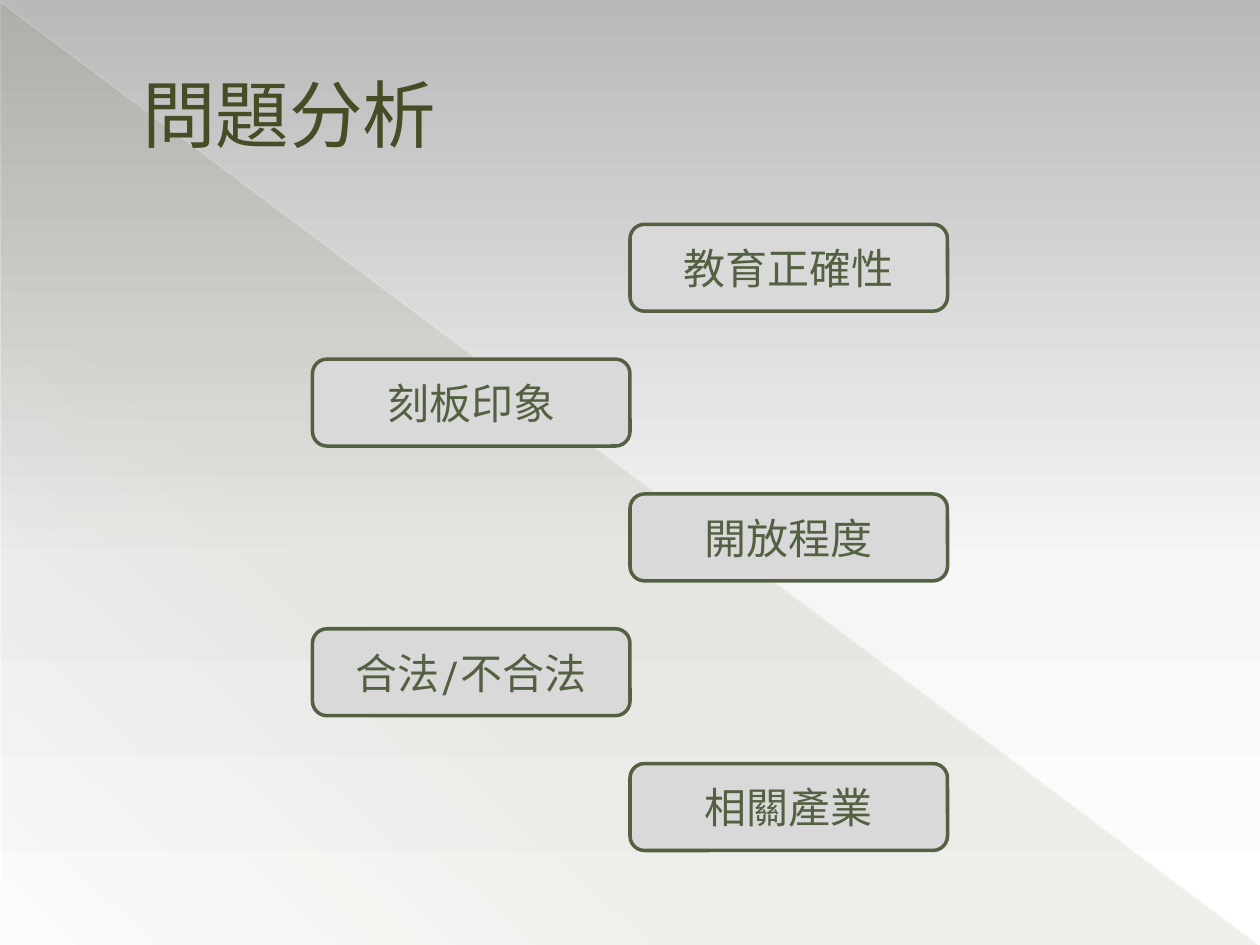
from lxml.etree import SubElement
from pptx import Presentation
from pptx.dml.color import RGBColor
from pptx.enum.shapes import MSO_CONNECTOR as Connector, MSO_SHAPE as Shape
from pptx.enum.text import MSO_ANCHOR as Anchor, PP_ALIGN as Align
from pptx.oxml.ns import qn
from pptx.util import Inches, Pt

FONT = "TeX Gyre Adventor"
OLIVE = RGBColor(0x44, 0x4D, 0x26)
GREEN = RGBColor(0x53, 0x61, 0x42)
GRAY = RGBColor(0xD9, 0xD9, 0xD9)
CREAM = RGBColor(0xFF, 0xFD, 0xE3)
PALE_CREAM = RGBColor(0xFF, 0xFD, 0xE6)
SKY_TOP = RGBColor(0xB9, 0xB9, 0xB9)
SKY_MIDDLE = RGBColor(0xF6, 0xF6, 0xF6)
WHITE = RGBColor(0xFF, 0xFF, 0xFF)

ISSUES = ["教育正確性", "刻板印象", "開放程度", "合法/不合法", "相關產業"]
BOX_WIDTH, BOX_HEIGHT = 2.52, 0.69
RIGHT_COLUMN, LEFT_COLUMN = 5, 2.48
FIRST_TOP, ROW_STEP = 1.78, 1.07


def add_opacity(color_element, percent):
    SubElement(color_element, qn("a:alpha"), val=str(percent * 1000))


def set_gradient(owner, fill, stops, angle):
    """Fill with (position, colour, opacity) stops in percent; angle is clockwise."""
    fill.gradient()
    fill.gradient_angle = 360 - angle
    stop_list = next(owner.element.iter(qn("a:gsLst")))
    for old_stop in list(stop_list):
        stop_list.remove(old_stop)
    for position, color, opacity in stops:
        stop = SubElement(stop_list, qn("a:gs"), pos=str(position * 1000))
        color_element = SubElement(stop, qn("a:srgbClr"), val=str(color))
        if opacity < 100:
            add_opacity(color_element, opacity)


def add_background(slide):
    set_gradient(slide, slide.background.fill,
                 [(0, SKY_TOP, 100), (60, SKY_MIDDLE, 100), (100, WHITE, 100)], 90)
    triangle = slide.shapes.add_shape(
        Shape.RIGHT_TRIANGLE, Inches(0.01), Inches(0.02), Inches(9.98), Inches(7.48))
    triangle.shadow.inherit = False
    triangle.line.fill.background()
    set_gradient(triangle, triangle.fill,
                 [(0, OLIVE, 10), (70, OLIVE, 8), (100, OLIVE, 1)], 133)


def add_line(slide, start, end, color, width, opacity):
    line = slide.shapes.add_connector(
        Connector.STRAIGHT, *(Inches(value) for value in start + end))
    line.line.width = Pt(width)
    line.line.color.rgb = color
    properties = line.element.spPr
    add_opacity(next(properties.iter(qn("a:srgbClr"))), opacity)
    SubElement(properties, qn("a:effectLst"))


def write_text(frame, text, size, color, align):
    frame.word_wrap = True
    frame.vertical_anchor = Anchor.MIDDLE
    paragraph = frame.paragraphs[0]
    paragraph.alignment = align
    run = paragraph.add_run()
    run.text = text
    for attribute, value in {"name": FONT, "size": Pt(size)}.items():
        setattr(run.font, attribute, value)
    run.font.color.rgb = color


def add_title(slide, text):
    title = slide.shapes.add_textbox(Inches(0.5), Inches(0.29), Inches(9), Inches(1.21))
    title.text_frame.margin_left = Inches(0.63)
    write_text(title.text_frame, text, 42, OLIVE, Align.LEFT)


def add_issue(slide, text, left, top):
    box = slide.shapes.add_shape(
        Shape.ROUNDED_RECTANGLE, Inches(left), Inches(top),
        Inches(BOX_WIDTH), Inches(BOX_HEIGHT))
    box.shadow.inherit = False
    box.fill.solid()
    box.fill.fore_color.rgb = GRAY
    box.line.color.rgb = GREEN
    box.line.width = Pt(2)
    write_text(box.text_frame, text, 24, GREEN, Align.CENTER)


def main():
    presentation = Presentation()
    presentation.slide_width, presentation.slide_height = Inches(10), Inches(7.5)
    slide = presentation.slides.add_slide(presentation.slide_layouts[6])
    add_background(slide)
    add_line(slide, (0, 0.01), (9.99, 7.49), CREAM, 0.39, 35)
    add_line(slide, (10, 5.41), (7.07, 7.49), PALE_CREAM, 0.47, 45)
    add_title(slide, "問題分析")
    for row, issue in enumerate(ISSUES):
        left = LEFT_COLUMN if row % 2 else RIGHT_COLUMN
        add_issue(slide, issue, left, FIRST_TOP + row * ROW_STEP)
    presentation.save("out.pptx")


if __name__ == "__main__":
    main()
